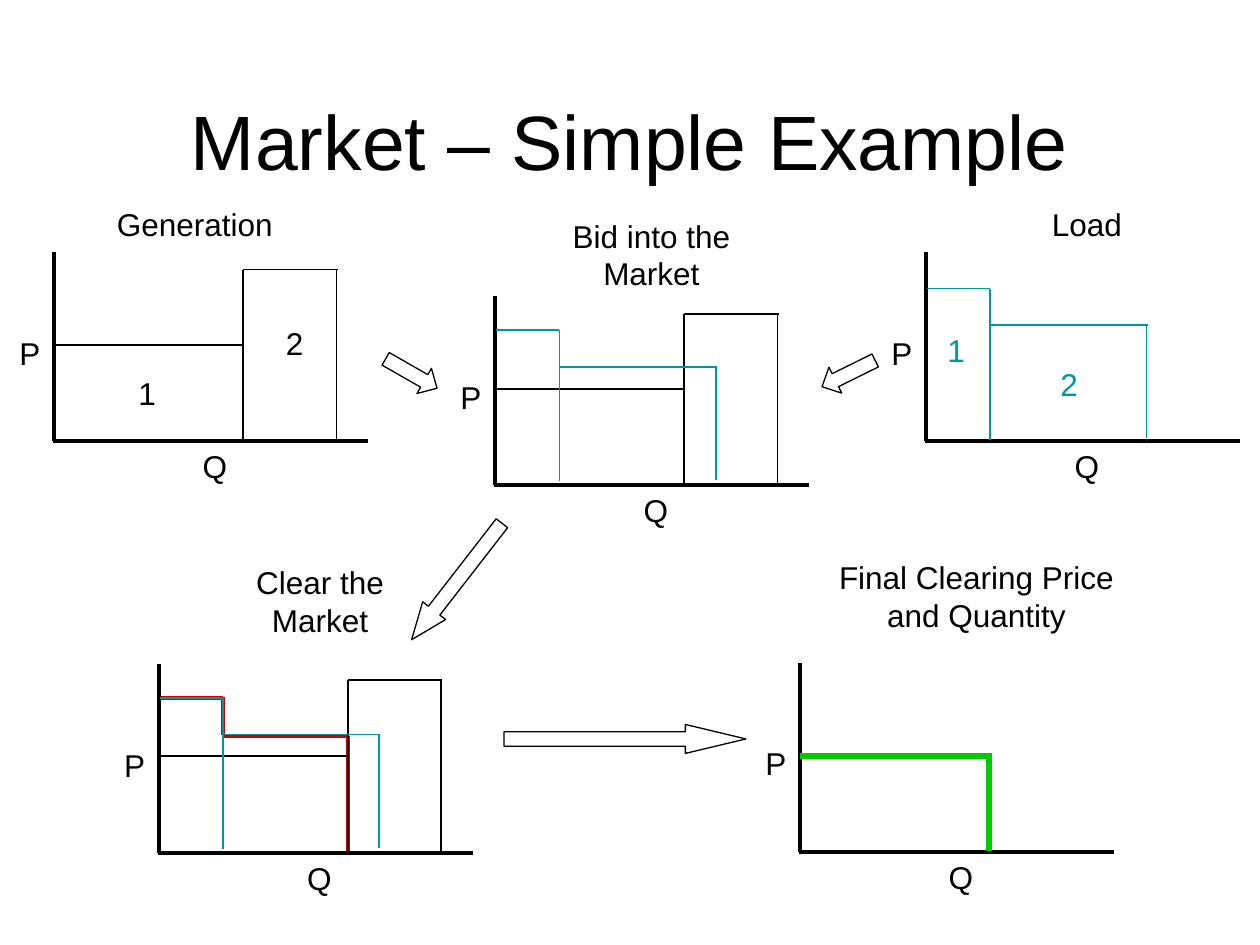
"""Build a slide that shows how a simple market clears."""
import dataclasses

import lxml.etree
import pptx
import pptx.dml.color
import pptx.enum.shapes
import pptx.enum.text
import pptx.oxml.ns
import pptx.util

Inches = pptx.util.Inches
Pt = pptx.util.Pt
Align = pptx.enum.text.PP_ALIGN


@dataclasses.dataclass(frozen=True)
class Theme:
    """Hold the colours, font, type sizes and line widths."""
    font: str = "Arial"
    black: str = "000000"
    teal: str = "009999"
    red: str = "CC0000"
    green: str = "00CC00"
    title: float = 44
    body: float = 18
    axis: float = 2.25
    curve: float = 1
    final: float = 3
    outline: float = 0.75


class Deck:
    """Draw styled elements on the current slide."""

    def __init__(self, prs, theme):
        """Add a blank slide and keep its style."""
        self.theme = theme
        self.slide = prs.slides.add_slide(prs.slide_layouts[6])

    def text(self, box, text, align=Align.CENTER, color=None, size=None, wrap=True):
        """Add a text box."""
        t = self.theme
        sp = self.slide.shapes.add_textbox(*map(Inches, box))
        tf = sp.text_frame
        frame = {
            "word_wrap": wrap,
            "auto_size": pptx.enum.text.MSO_AUTO_SIZE.NONE,
            "vertical_anchor": pptx.enum.text.MSO_ANCHOR.MIDDLE if size
            else pptx.enum.text.MSO_ANCHOR.TOP,
        }
        for name, value in frame.items():
            setattr(tf, name, value)
        p = tf.paragraphs[0]
        p.alignment = align
        r = p.add_run()
        r.text = text
        for name, value in {"name": t.font, "size": Pt(size or t.body)}.items():
            setattr(r.font, name, value)
        r.font.color.rgb = pptx.dml.color.RGBColor.from_string(color or t.black)
        return sp

    def line(self, points, color, width):
        """Add a straight line between two points."""
        sp = self.slide.shapes.add_connector(
            pptx.enum.shapes.MSO_CONNECTOR.STRAIGHT, *map(Inches, points))
        sp.line.width = Pt(width)
        sp.line.color.rgb = pptx.dml.color.RGBColor.from_string(color)
        lxml.etree.SubElement(sp._element.spPr, pptx.oxml.ns.qn("a:effectLst"))
        return sp

    def lines(self, x, y, segments, color, width):
        """Add lines given relative to the top of a price axis."""
        for x1, y1, x2, y2 in segments:
            self.line((x + x1, y + y1, x + x2, y + y2), color, width)

    def arrow(self, box, rotation, head):
        """Add an outlined block arrow."""
        sp = self.slide.shapes.add_shape(
            pptx.enum.shapes.MSO_SHAPE.RIGHT_ARROW, *map(Inches, box))
        sp.rotation = rotation
        sp.adjustments[0] = 0.5
        sp.adjustments[1] = head
        sp.shadow.inherit = False
        sp.fill.background()
        sp.line.width = Pt(self.theme.outline)
        sp.line.color.rgb = pptx.dml.color.RGBColor.from_string(self.theme.black)
        return sp

    def axes(self, x, y):
        """Add the price and quantity axes with their labels."""
        self.lines(x, y, AXES, self.theme.black, self.theme.axis)
        self.text((x - 0.43, y + 0.6, 0.42, 0.4), "P", Align.RIGHT)
        self.text((x + 0.9, y + 1.5, 0.75, 0.4), "Q")

    def supply(self, x, y):
        """Add the generation blocks."""
        self.lines(x, y, SUPPLY, self.theme.black, self.theme.curve)

    def demand(self, x, y):
        """Add the load blocks."""
        self.lines(x, y, DEMAND, self.theme.teal, self.theme.curve)


AXES = [(0, 0, 0, 1.5), (-0.01, 1.5, 2.49, 1.5)]
SUPPLY = [(0, 0.74, 1.5, 0.74), (1.5, 0.74, 1.5, 1.49), (1.5, 0.14, 2.25, 0.14),
          (1.5, 0.14, 1.5, 1.49), (2.24, 0.14, 2.24, 1.49)]
DEMAND = [(0.51, 0.58, 1.76, 0.58), (0.01, 0.29, 0.51, 0.29),
          (1.75, 0.58, 1.75, 1.48), (0.51, 0.29, 0.51, 1.49)]
CLEARED = [(0.01, 0.27, 0.51, 0.27), (0.51, 0.57, 1.51, 0.57),
           (0.51, 0.26, 0.51, 0.56), (1.5, 0.57, 1.5, 1.48)]
FINAL = [(0, 0.74, 1.5, 0.74), (1.5, 0.72, 1.5, 1.49)]


def main():
    """Build and save the slide."""
    prs = pptx.Presentation()
    prs.slide_width, prs.slide_height = Inches(10), Inches(7.5)
    theme = Theme()
    deck = Deck(prs, theme)
    deck.text((0.5, 0.67, 9, 0.88), "Market – Simple Example", size=theme.title)

    deck.axes(0.43, 2)
    deck.text((0.83, 1.58, 1.43, 0.4), "Generation", Align.LEFT, wrap=False)
    deck.supply(0.43, 2)
    deck.text((1, 2.92, 0.42, 0.4), "1", Align.LEFT)
    deck.text((2.17, 2.52, 0.33, 0.4), "2", Align.LEFT)

    deck.axes(7.35, 2)
    deck.text((8.25, 1.58, 1.17, 0.4), "Load", Align.LEFT)
    deck.demand(7.35, 2)
    deck.text((7.42, 2.58, 0.58, 0.4), "1", Align.LEFT, theme.teal)
    deck.text((7.9, 2.85, 1.17, 0.4), "2", color=theme.teal)

    deck.axes(3.93, 2.35)
    deck.supply(3.93, 2.35)
    deck.demand(3.93, 2.33)
    deck.text((4.42, 1.67, 1.5, 0.7), "Bid into the Market")

    deck.lines(1.26, 5.27, CLEARED, theme.red, theme.axis)
    deck.axes(1.26, 5.27)
    deck.supply(1.26, 5.26)
    deck.demand(1.26, 5.25)
    deck.text((1.75, 4.42, 1.58, 0.7), "Clear the Market")

    deck.axes(6.35, 5.26)
    deck.lines(6.35, 5.26, FINAL, theme.green, theme.final)
    deck.text((6.5, 4.38, 2.5, 0.7), "Final Clearing Price and Quantity")

    for left, top, width, rotation, head in [
        (3.03, 2.85, 0.47, 29.8, 0.51),
        (6.5, 2.85, 0.47, 153.7, 0.51),
        (4, 5.75, 1.92, 0, 2.09),
        (3.04, 4.5, 1.17, 127.8, 1.27),
    ]:
        deck.arrow((left, top, width, 0.23), rotation, head)
    prs.save("out.pptx")


if __name__ == "__main__":
    main()
